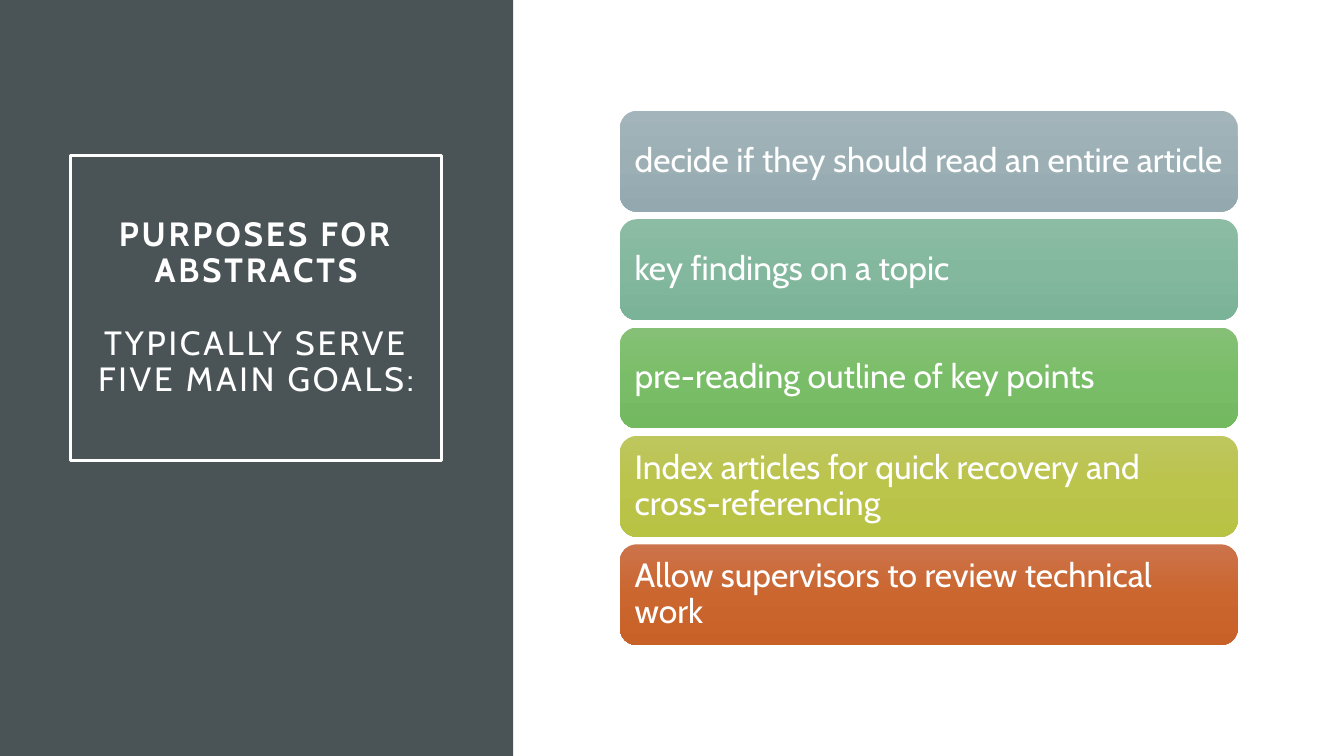
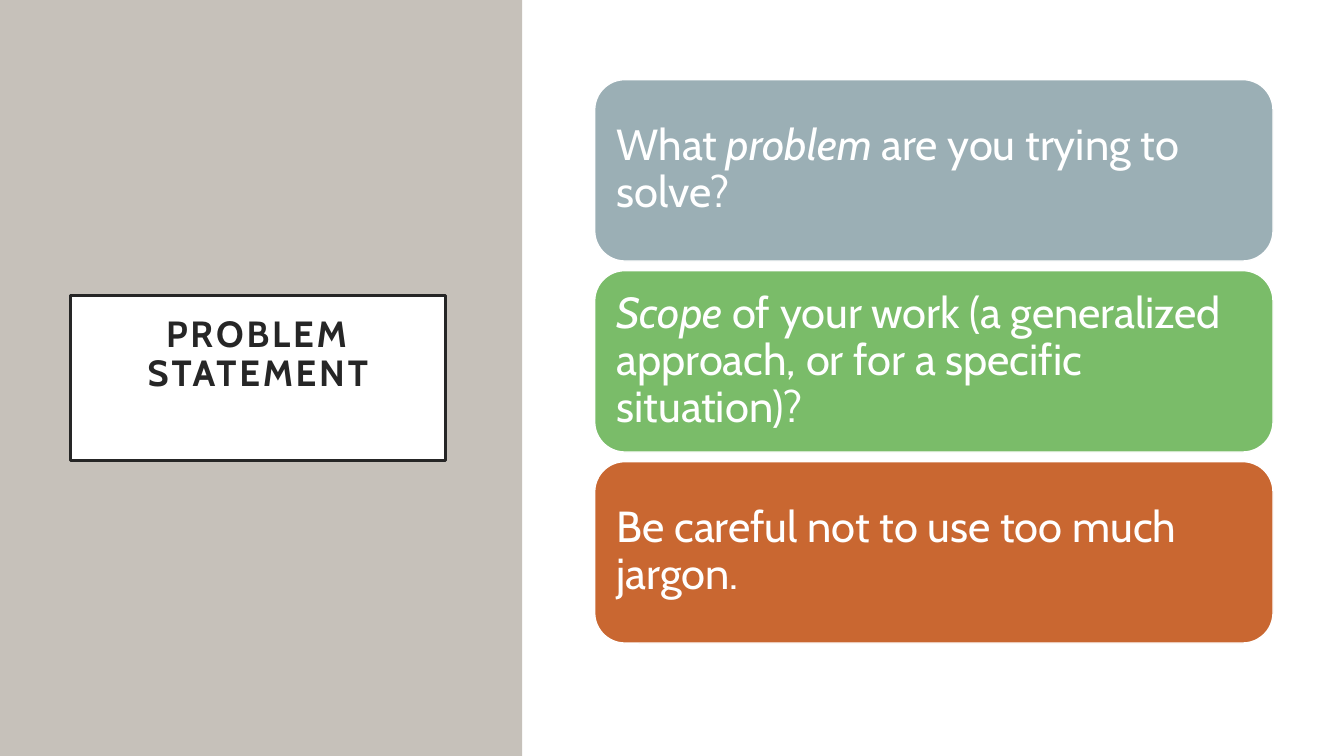
"""Two slides on abstracts: a framed title on a side panel beside a stack of cards."""
from copy import deepcopy

from pptx import Presentation
from pptx.dml.color import RGBColor as Rgb
from pptx.enum.shapes import MSO_SHAPE as Form
from pptx.enum.text import MSO_ANCHOR as Anchor, MSO_AUTO_SIZE as Fit, PP_ALIGN as Align
from pptx.oxml.ns import qn
from pptx.util import Emu, Pt

PX = 9144
FONT = "Cabin"
HEX = {
    "white": "FFFFFF", "ink": "262626", "slate": "4A5356", "sand": "C6C1BA",
    "blue": "9BAFB5", "green": "7ABC69", "rust": "C96731",
}
FADES = {
    "blue": ["A3B5BB", "9BAFB5", "93A9AF"],
    "teal": ["8DBCA5", "83B89E", "7BB398"],
    "green": ["85C076", "7ABD68", "73B960"],
    "lime": ["BEC65E", "BBC44B", "B8C243"],
    "rust": ["CC734B", "CB662F", "C86128"],
}
PAGES = [
    {
        "panel": ("slate", 509),
        "title": ["PURPOSES FOR ABSTRACTS", "TYPICALLY SERVE FIVE MAIN GOALS:"],
        "frame": (70, 154, 368, 303), "ink": "white", "back": None,
        "size": 24, "foot": 20,
        "stack": (615, 110, 613, 530), "high": 100, "text": 24,
        "pad": 10, "right": 9, "fade": True,
        "cards": [
            ("blue", "decide if they should read an entire article"),
            ("teal", "key findings on a topic"),
            ("green", "pre-reading outline of key points"),
            ("lime", "Index articles for quick recovery and cross-referencing"),
            ("rust", "Allow supervisors to review technical work"),
        ],
    },
    {
        "panel": ("sand", 518),
        "title": ["PROBLEM STATEMENT"],
        "frame": (70, 293, 372, 164), "ink": "ink", "back": "white",
        "size": 26, "foot": 65,
        "stack": (590, 79, 673, 559), "high": 180, "text": 31,
        "pad": 13, "right": 13, "fade": False,
        "cards": [
            ("blue", "What *problem* are you trying to solve?"),
            ("green", "*Scope* of your work (a generalized approach, or for a specific situation)?"),
            ("rust", "Be careful not to use too much jargon."),
        ],
    },
]


def px(*nums):
    return [Emu(round(num * PX)) for num in nums]


def setup(frame, pads):
    frame.word_wrap = True
    frame.auto_size = Fit.NONE
    frame.vertical_anchor = Anchor.MIDDLE
    (frame.margin_left, frame.margin_top,
     frame.margin_right, frame.margin_bottom) = px(*pads)


deck = Presentation()
deck.slide_width, deck.slide_height = Emu(12192000), Emu(6858000)

for page in PAGES:
    slide = deck.slides.add_slide(deck.slide_layouts[5])

    tone, wide = page["panel"]
    panel = slide.shapes.add_shape(Form.RECTANGLE, *px(0, 0, wide, 750))
    panel.shadow.inherit = False
    panel.fill.solid()
    panel.fill.fore_color.rgb = Rgb.from_string(HEX[tone])
    panel.line.fill.background()
    slide.shapes._spTree.insert(2, panel._element)

    title = slide.shapes.title
    title.left, title.top, title.width, title.height = px(*page["frame"])
    ink = Rgb.from_string(HEX[page["ink"]])
    title.line.color.rgb = ink
    title.line.width = Pt(2.5)
    if page["back"]:
        title.fill.solid()
        title.fill.fore_color.rgb = Rgb.from_string(HEX[page["back"]])
    setup(title.text_frame, (20, 20, 20, page["foot"]))
    title.text_frame.text = "\n".join(page["title"])
    for rank, para in enumerate(title.text_frame.paragraphs):
        para.alignment = Align.CENTER
        para.line_spacing = 0.9
        para.space_before = Pt(26 if rank else 0)
        for run in para.runs:
            run.font.name = FONT
            run.font.size = Pt(page["size"])
            run.font.bold = rank == 0
            run.font.color.rgb = ink
            run._r.get_or_add_rPr().set("spc", "200")

    left, top, wide, span = page["stack"]
    high, count = page["high"], len(page["cards"])
    step = high + (span - count * high) / (count - 1)
    for row, (tone, words) in enumerate(page["cards"]):
        card = slide.shapes.add_shape(
            Form.ROUNDED_RECTANGLE, *px(left, top + row * step, wide, high))
        card.shadow.inherit = False
        if page["fade"]:
            card.fill.gradient()
            card.fill.gradient_angle = 270
            stops = card._element.spPr.find(".//" + qn("a:gsLst"))
            stops.insert(1, deepcopy(stops[0]))
            for spot, stop, code in zip((0, 0.5, 1), card.fill.gradient_stops, FADES[tone]):
                stop.position = spot
                stop.color.rgb = Rgb.from_string(code)
            card.line.fill.background()
        else:
            card.fill.solid()
            card.fill.fore_color.rgb = Rgb.from_string(HEX[tone])
            card.line.color.rgb = Rgb.from_string(HEX["white"])
            card.line.width = Pt(1)
        pad = page["pad"]
        setup(card.text_frame, (pad, pad, page["right"], pad))
        para = card.text_frame.paragraphs[0]
        para.alignment = Align.LEFT
        para.line_spacing = 0.9
        for part, piece in enumerate(words.split("*")):
            if piece:
                run = para.add_run()
                run.text = piece
                run.font.name = FONT
                run.font.size = Pt(page["text"])
                run.font.italic = part % 2 == 1
                run.font.color.rgb = Rgb.from_string(HEX["white"])

deck.save("out.pptx")
